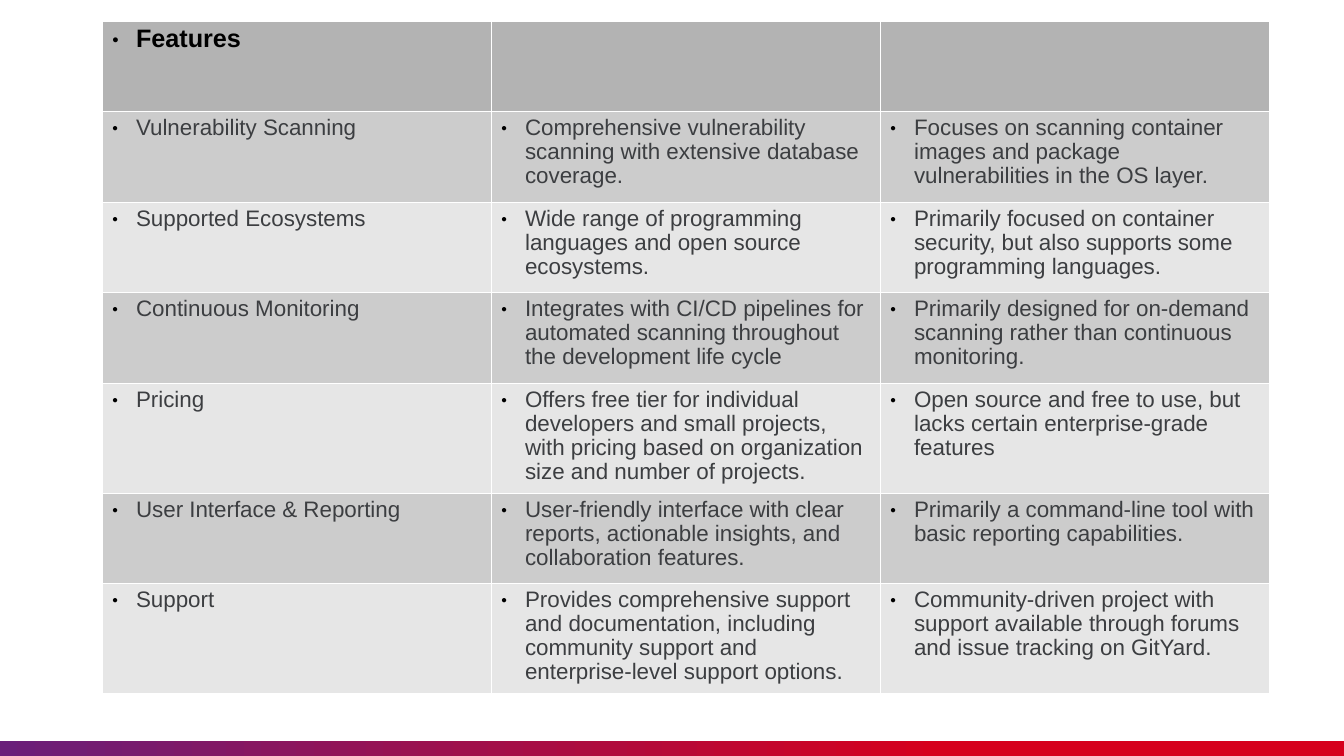
"""Build a slide with a feature comparison table above a gradient footer band."""
from lxml.etree import SubElement
from pptx import Presentation
from pptx.dml.color import RGBColor
from pptx.enum.shapes import MSO_SHAPE as Shape
from pptx.oxml.ns import qn
from pptx.util import Pt

PX = 914400 / 100.8
SLIDE_WIDTH, SLIDE_HEIGHT = 1344, 756
TABLE_LEFT, TABLE_TOP, COLUMN_WIDTH = 102, 21, 389
ROW_HEIGHTS = [90, 91, 90, 91, 110, 90, 110]
BAND_TOP = 741
FONT = "Arial"
BLACK = RGBColor(0x00, 0x00, 0x00)
WHITE = RGBColor(0xFF, 0xFF, 0xFF)
BODY_TEXT = RGBColor(0x3C, 0x3E, 0x41)
HEADER_FILL = RGBColor(0xB3, 0xB3, 0xB3)
ROW_FILLS = [RGBColor(0xE6, 0xE6, 0xE6), RGBColor(0xCC, 0xCC, 0xCC)]
RED = RGBColor(0xD6, 0x00, 0x1C)
PURPLE = RGBColor(0x6A, 0x1F, 0x7A)

FEATURES = [
    ("Features", "", ""),
    ("Vulnerability Scanning",
     "Comprehensive vulnerability scanning with extensive database coverage.",
     "Focuses on scanning container images and package vulnerabilities in the OS layer."),
    ("Supported Ecosystems",
     "Wide range of programming languages and open source ecosystems.",
     "Primarily focused on container security, but also supports some programming languages."),
    ("Continuous Monitoring",
     "Integrates with CI/CD pipelines for automated scanning throughout the development life cycle",
     "Primarily designed for on-demand scanning rather than continuous monitoring."),
    ("Pricing",
     "Offers free tier for individual developers and small projects, with pricing based on "
     "organization size and number of projects.",
     "Open source and free to use, but lacks certain enterprise-grade features"),
    ("User Interface & Reporting",
     "User-friendly interface with clear reports, actionable insights, and collaboration features.",
     "Primarily a command-line tool with basic reporting capabilities."),
    ("Support",
     "Provides comprehensive support and documentation, including community support and "
     "enterprise-level support options.",
     "Community-driven project with support available through forums and issue tracking on GitYard."),
]


def px(length):
    """Turn whole pixels into EMU."""
    return round(length * PX)


def add_bullet(paragraph, color=BLACK, percent=45, indent=24):
    """Give a paragraph a small round bullet with a hanging indent."""
    properties = paragraph._p.get_or_add_pPr()
    properties.set("marL", str(px(indent)))
    properties.set("indent", str(-px(indent)))
    bullet_color = SubElement(properties, qn("a:buClr"))
    SubElement(bullet_color, qn("a:srgbClr"), val=str(color))
    SubElement(properties, qn("a:buSzPct"), val=str(percent * 1000))
    SubElement(properties, qn("a:buFont"), typeface=FONT)
    SubElement(properties, qn("a:buChar"), char="●")


def write_text(frame, text, size=16, color=BODY_TEXT, bold=False):
    """Write one bulleted paragraph into a text frame."""
    paragraph = frame.paragraphs[0]
    paragraph.line_spacing = 0.97
    add_bullet(paragraph)
    run = paragraph.add_run()
    run.text = text
    run.font.name = FONT
    run.font.size = Pt(size)
    run.font.bold = bold
    run.font.color.rgb = color


def style_cell(cell, fill):
    """Set the borders and the fill of a table cell."""
    properties = cell._tc.get_or_add_tcPr()
    for side in ("lnL", "lnR", "lnT", "lnB"):
        border = SubElement(properties, qn(f"a:{side}"), w=str(Pt(0.06)))
        border_fill = SubElement(border, qn("a:solidFill"))
        SubElement(border_fill, qn("a:srgbClr"), val=str(WHITE))
    cell.fill.solid()
    cell.fill.fore_color.rgb = fill


def add_feature_table(slide):
    """Add the comparison table."""
    column_count = len(FEATURES[0])
    table = slide.shapes.add_table(
        len(FEATURES), column_count, px(TABLE_LEFT), px(TABLE_TOP),
        px(COLUMN_WIDTH * column_count), px(sum(ROW_HEIGHTS))).table
    table.first_row = False
    table.horz_banding = False
    for column in table.columns:
        column.width = px(COLUMN_WIDTH)
    for index, (texts, height) in enumerate(zip(FEATURES, ROW_HEIGHTS)):
        is_header = index == 0
        row = table.rows[index]
        row.height = px(height)
        text_format = dict(size=18, color=BLACK, bold=True) if is_header else {}
        for cell, text in zip(row.cells, texts):
            style_cell(cell, HEADER_FILL if is_header else ROW_FILLS[index % 2])
            if text:
                write_text(cell.text_frame, text, **text_format)


def add_footer_band(slide):
    """Add the purple to red band along the bottom edge."""
    band = slide.shapes.add_shape(
        Shape.RECTANGLE, 0, px(BAND_TOP), px(SLIDE_WIDTH), px(SLIDE_HEIGHT - BAND_TOP))
    band.shadow.inherit = False
    band.line.fill.background()
    band.fill.gradient()
    band.fill.gradient_angle = 180
    for stop, position, color in zip(band.fill.gradient_stops, (0.3, 1), (RED, PURPLE)):
        stop.position = position
        stop.color.rgb = color


def main():
    """Build and save the slide."""
    presentation = Presentation()
    presentation.slide_width = px(SLIDE_WIDTH)
    presentation.slide_height = px(SLIDE_HEIGHT)
    slide = presentation.slides.add_slide(presentation.slide_layouts[6])
    add_footer_band(slide)
    add_feature_table(slide)
    presentation.save("out.pptx")


if __name__ == "__main__":
    main()
